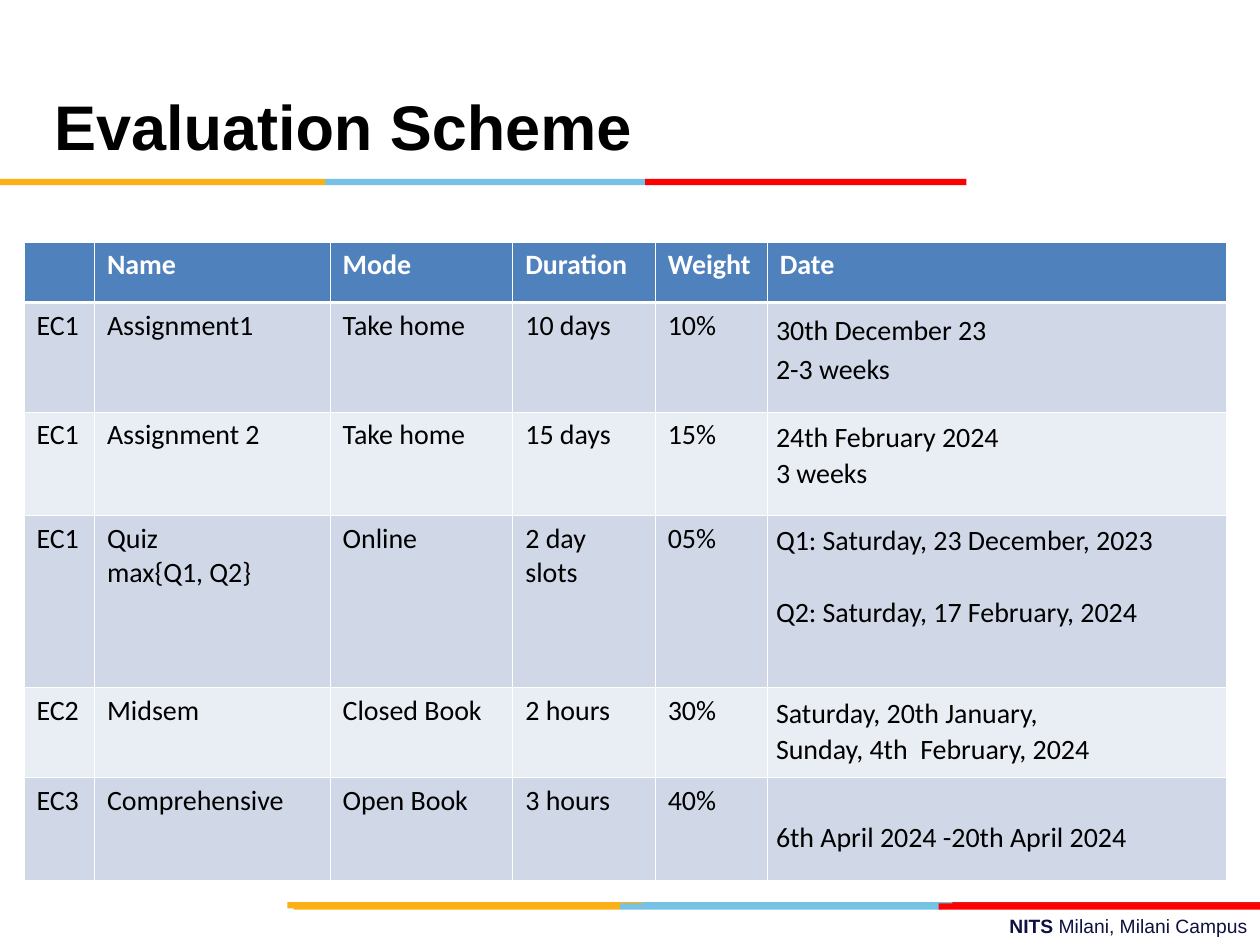
"""Build the evaluation scheme slide with its course assessment table."""
import pptx
import pptx.dml.color
import pptx.enum.shapes
import pptx.enum.text
import pptx.oxml
import pptx.oxml.ns
import pptx.util

COLOURS = {
    "gold": "FCB017", "sky": "76C2E5", "red": "FF0000", "crimson": "E31C24",
    "header": "4F81BD", "odd": "D0D8E8", "even": "E9EDF4",
    "white": "FFFFFF", "black": "000000", "navy": "101141",
}
ALIGN = pptx.enum.text.PP_ALIGN
ANCHOR = pptx.enum.text.MSO_ANCHOR


def colour(name):
    return pptx.dml.color.RGBColor.from_string(COLOURS[name])


def write(paragraph, text, font="Calibri", size=16, ink="black", bold=False,
          align=ALIGN.LEFT, spacing=None, before=0):
    run = paragraph.add_run()
    run.text = text
    run.font.name = font
    run.font.size = pptx.util.Pt(size)
    run.font.bold = bold
    run.font.color.rgb = colour(ink)
    paragraph.alignment = align
    paragraph.line_spacing = spacing
    paragraph.space_before = pptx.util.Pt(before)


prs = pptx.Presentation()
prs.slide_width = pptx.util.Inches(10)
prs.slide_height = pptx.util.Inches(7.5)
column = prs.slide_width / 100
row = prs.slide_height / 75
slide = prs.slides.add_slide(prs.slide_layouts[5])

stripes = [
    (71.6, [("sky", 50.6, 76.1), ("crimson", 75.6, 100), ("gold", 22.8, 51)]),
    (71.7, [("sky", 49.2, 74.7), ("gold", 23.3, 49.2), ("red", 74.5, 100)]),
    (14.2, [("sky", 25.8, 51.3), ("gold", 0, 25.8), ("red", 51.2, 76.7)]),
]
for top, bands in stripes:
    for name, start, end in bands:
        band = slide.shapes.add_shape(
            pptx.enum.shapes.MSO_SHAPE.RECTANGLE, int(start * column),
            int(top * row), int((end - start) * column), int(0.5 * row))
        band.shadow.inherit = False
        band.fill.solid()
        band.fill.fore_color.rgb = colour(name)
        band.line.fill.background()

heading = slide.shapes.title
heading.left, heading.top = int(3.3 * column), int(1.7 * row)
heading.width, heading.height = int(69.2 * column), int(12.5 * row)
heading.text_frame.vertical_anchor = ANCHOR.BOTTOM
heading.text_frame.auto_size = pptx.enum.text.MSO_AUTO_SIZE.NONE
heading.text_frame.margin_bottom = int(1.25 * row)
write(heading.text_frame.paragraphs[0], "Evaluation Scheme", font="Arial",
      size=36, bold=True, spacing=pptx.util.Pt(36))

campus = slide.shapes.add_textbox(int(35.8 * column), int(72.1 * row),
                                  int(64.2 * column), int(2.9 * row))
campus.text_frame.word_wrap = True
for text, bold in [("NITS ", True), ("Milani, Milani Campus", False)]:
    write(campus.text_frame.paragraphs[0], text, font="Arial", size=11,
          ink="navy", bold=bold, align=ALIGN.RIGHT)

components = [
    ["", "Name", "Mode", "Duration", "Weight", "Date"],
    ["EC1", "Assignment1", "Take home", "10 days", "10%",
     "30th December 23\n2-3 weeks"],
    ["EC1", "Assignment 2", "Take home", "15 days", "15%",
     "24th February 2024\n3 weeks"],
    ["EC1", "Quiz\nmax{Q1, Q2}", "Online", "2 day slots", "05%",
     "Q1: Saturday, 23 December, 2023\nQ2: Saturday, 17 February, 2024"],
    ["EC2", "Midsem", "Closed Book", "2 hours", "30%",
     "Saturday, 20th January,\nSunday, 4th  February, 2024"],
    ["EC3", "Comprehensive", "Open Book", "3 hours", "40%",
     "6th April 2024 -20th April 2024"],
]
widths = [5.6, 18.7, 14.5, 11.3, 8.9, 36.4]
heights = [4.8, 8.7, 8.2, 13.7, 7.1, 8.2]
QUIZ, FINAL, DATE = 3, 5, 5

scheme = slide.shapes.add_table(
    len(heights), len(widths), int(1.9 * column), int(19.2 * row),
    int(sum(widths) * column), int(sum(heights) * row)).table
for index, width in enumerate(widths):
    scheme.columns[index].width = int(width * column)
for index, height in enumerate(heights):
    scheme.rows[index].height = int(height * row)

for r, entries in enumerate(components):
    for c, entry in enumerate(entries):
        cell = scheme.cell(r, c)
        is_date = r > 0 and c == DATE
        spacing = (1.15 if r == 1 else 1.07) if is_date else None
        cell.margin_left = int((0.7 if is_date else 1) * column)
        cell.margin_right = int((0.8 if is_date else 1) * column)
        cell.margin_top = int((3.3 if is_date and r == FINAL else 0.5) * row)
        cell.margin_bottom = int(0.5 * row)
        for n, line in enumerate(entry.split("\n") if entry else []):
            frame = cell.text_frame
            paragraph = frame.add_paragraph() if n else frame.paragraphs[0]
            write(paragraph, line, ink="black" if r else "white", bold=r == 0,
                  spacing=spacing,
                  before=20 if is_date and r == QUIZ and n else 0)
        for side in ("L", "R", "T", "B"):
            thick = (r, side) in [(0, "B"), (1, "T")]
            cell._tc.get_or_add_tcPr().append(pptx.oxml.parse_xml(
                f'<a:ln{side} {pptx.oxml.ns.nsdecls("a")} '
                f'w="{pptx.util.Pt(1.47 if thick else 0.45)}"><a:solidFill>'
                f'<a:srgbClr val="{COLOURS["white"]}"/></a:solidFill>'
                f'</a:ln{side}>'))
        cell.fill.solid()
        cell.fill.fore_color.rgb = colour(
            "header" if r == 0 else "odd" if r % 2 else "even")

prs.save("out.pptx")
